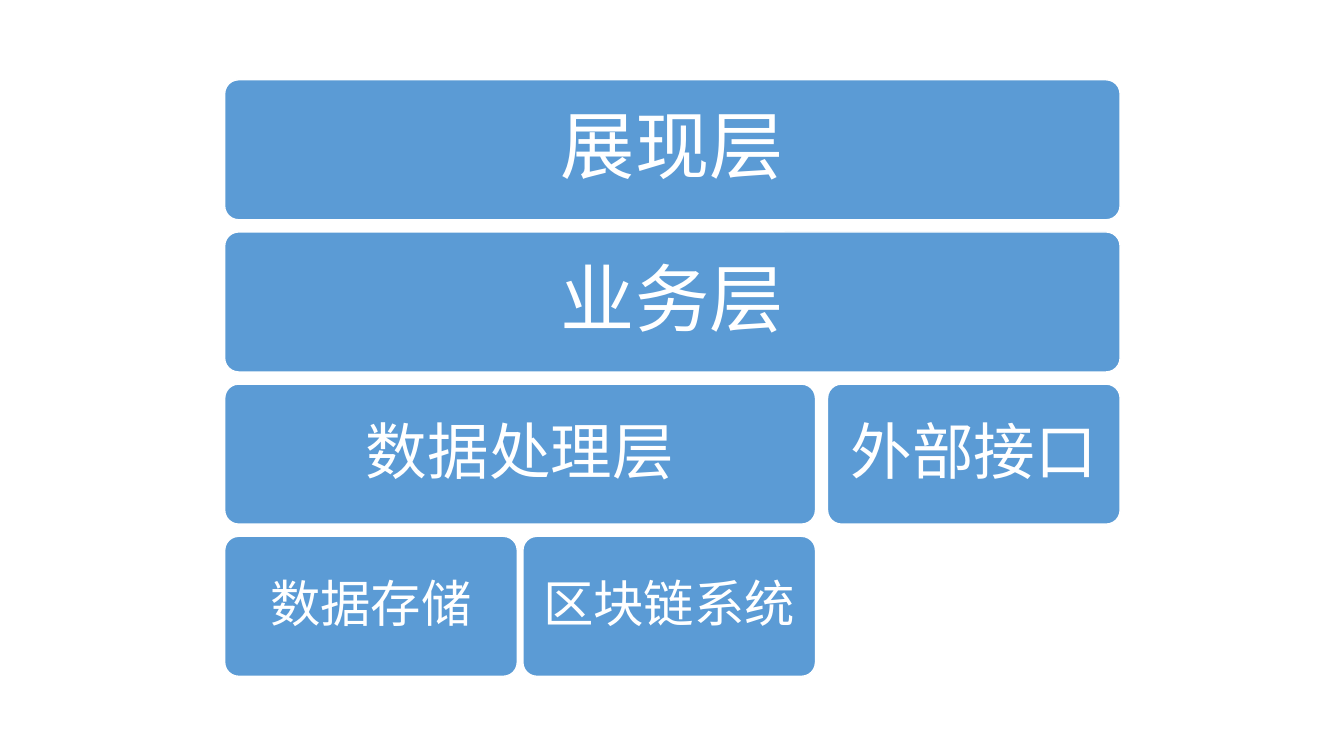
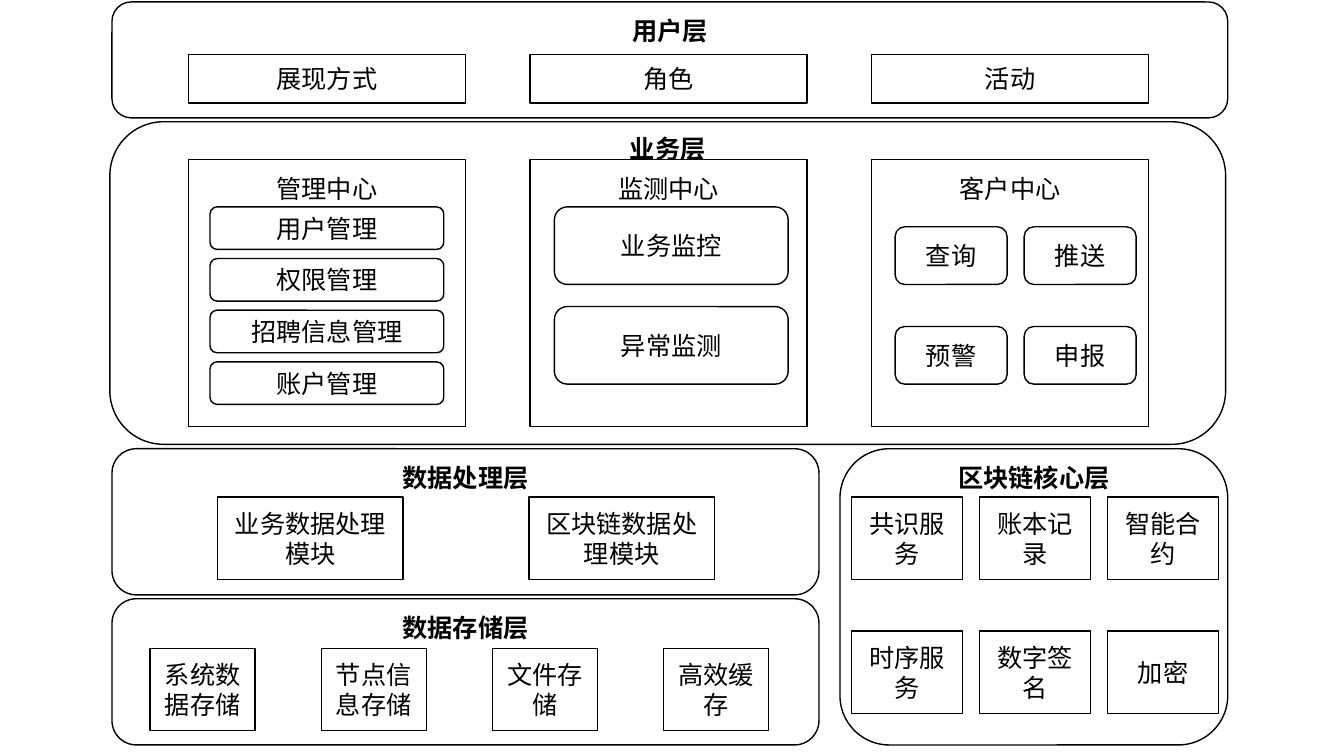
"""Build two slides on a layered blockchain system: an overview and its detailed architecture."""
from pptx import Presentation
from pptx.dml.color import RGBColor
from pptx.enum.shapes import MSO_SHAPE as Shape
from pptx.enum.text import MSO_ANCHOR as Anchor, PP_ALIGN as Align
from pptx.util import Pt

BLUE = RGBColor(0x5B, 0x9B, 0xD5)
WHITE = RGBColor(0xFF, 0xFF, 0xFF)
BLACK = RGBColor(0x00, 0x00, 0x00)
FONT = "Calibri"
CORNER = 0.16667
CORNER_TEXT_INSET = 0.29289
MARGINS = ("margin_left", "margin_top", "margin_right", "margin_bottom")

COLUMN_LEFT, COLUMN_PITCH, COLUMN_WIDTH = 134.5, 244, 198
LEFT_EDGE, FULL_WIDTH, DATA_WIDTH = 80, 797, 505
DATA_TOP, STORAGE_TOP, DATA_HEIGHT = 320.5, 427.7, 104.4


def set_all(target, values):
    """Set each named attribute of the target."""
    for name, value in values.items():
        setattr(target, name, value)


def add_box(slide, kind, label, place, fill=WHITE, ink=BLACK, edge=BLACK,
            font=None, frame=None, paragraph=None):
    """Add a filled, outlined box with a centred label."""
    box = slide.shapes.add_shape(kind, *map(Pt, place))
    box.shadow.inherit = False
    box.fill.solid()
    box.fill.fore_color.rgb = fill
    box.line.color.rgb = edge
    box.line.width = Pt(1)
    text = box.text_frame
    text.text = label
    line = text.paragraphs[0]
    set_all(text, {"word_wrap": True, "vertical_anchor": Anchor.MIDDLE, **(frame or {})})
    set_all(line, {"alignment": Align.CENTER, **(paragraph or {})})
    set_all(line.runs[0].font, {"name": FONT, "size": Pt(18), **(font or {})})
    line.runs[0].font.color.rgb = ink
    return box


def add_tier(slide, label, left, top, width, height, margin=12):
    """Add an overview block whose label size follows its tier."""
    sizes = {12: 36, 13: 44, 16: 53}
    box = add_box(
        slide, Shape.ROUNDED_RECTANGLE, label, (left, top, width, height),
        fill=BLUE, ink=WHITE, edge=WHITE,
        font={"size": Pt(sizes[margin])},
        frame={"word_wrap": False, **dict.fromkeys(MARGINS, Pt(margin))},
        paragraph={"line_spacing": 0.9})
    box.adjustments[0] = 0.1


def add_panel(slide, kind, title, place, offset=9.5, bold=True):
    """Add a panel with its title at a fixed offset below the top edge."""
    rounded = kind == Shape.ROUNDED_RECTANGLE
    inset = min(place[2:]) * CORNER * CORNER_TEXT_INSET if rounded else 0
    add_box(slide, kind, title, place, font={"bold": bold},
            frame={"vertical_anchor": Anchor.TOP, "margin_top": Pt(offset - inset)})


def add_grid(slide, kind, rows, start, pitch, size, add=add_box):
    """Add equal boxes in rows and columns."""
    for row, labels in enumerate(rows):
        for column, label in enumerate(labels):
            corner = (start[0] + column * pitch[0], start[1] + row * pitch[1])
            add(slide, kind, label, corner + size)


def add_center(slide, kind, title, place):
    """Add a business centre panel with a plain title."""
    add_panel(slide, kind, title, place, bold=False)


def build_overview(slide):
    """Draw the four-tier overview."""
    left, top, height, pitch = 160.5, 57, 100, 108.7
    unit, gap, wide_gap = 209, 4, 8.6
    pair = 2 * unit + gap
    full = pair + wide_gap + unit
    second, third = left + unit + gap, left + pair + wide_gap
    blocks = [
        ("展现层", 0, left, full, 16),
        ("业务层", 1, left, full, 16),
        ("数据处理层", 2, left, pair, 13),
        ("外部接口", 2, third, unit, 13),
        ("数据存储", 3, left, unit, 10.8),
        ("区块链系统", 3, second, unit, 10.8),
    ]
    for label, tier, x, width, margin in blocks:
        add_tier(slide, label, x, top + tier * pitch, width, height, max(margin, 12))


def build_architecture(slide):
    """Draw the detailed layers and their modules."""
    rect, rounded = Shape.RECTANGLE, Shape.ROUNDED_RECTANGLE
    columns = (COLUMN_PITCH, 0)

    add_panel(slide, rounded, "用户层", (LEFT_EDGE, 1.4, FULL_WIDTH, 82.8))
    add_grid(slide, rect, [["展现方式", "角色", "活动"]],
             (COLUMN_LEFT, 39), columns, (COLUMN_WIDTH, 34.6))

    add_panel(slide, rounded, "业务层", (78.5, 87, FULL_WIDTH, 230.4), offset=8)
    add_grid(slide, rect, [["管理中心", "监测中心", "客户中心"]],
             (COLUMN_LEFT, 114), columns, (COLUMN_WIDTH, 190.8), add_center)
    add_grid(slide, rounded, [["用户管理"], ["权限管理"], ["招聘信息管理"], ["账户管理"]],
             (150, 147.8), (0, 36.9), (167, 30.4))
    add_grid(slide, rounded, [["业务监控"], ["异常监测"]],
             (396, 147.8), (0, 71.2), (167, 55.4))
    add_grid(slide, rounded, [["查询", "推送"], ["预警", "申报"]],
             (639.4, 162), (92.2, 71.2), (80, 41.2))

    add_panel(slide, rounded, "数据处理层", (LEFT_EDGE, DATA_TOP, DATA_WIDTH, DATA_HEIGHT))
    add_grid(slide, rect, [["业务数据处理模块", "区块链数据处理模块"]],
             (155.5, 355), (222.4, 0), (132.5, 59))

    add_panel(slide, rounded, "数据存储层", (LEFT_EDGE, STORAGE_TOP, DATA_WIDTH, DATA_HEIGHT))
    add_grid(slide, rect, [["系统数据存储", "节点信息存储", "文件存储", "高效缓存"]],
             (107.3, 463), (122.2, 0), (75, 59))

    core_height = STORAGE_TOP + DATA_HEIGHT - DATA_TOP
    add_panel(slide, rounded, "区块链核心层", (600, DATA_TOP, 277, core_height))
    add_grid(slide, rect, [["共识服务", "账本记录", "智能合约"], ["时序服务", "数字签名", "加密"]],
             (608.4, 355), (91.4, 95.7), (79.2, 59))


def main():
    """Create and save the presentation."""
    deck = Presentation()
    set_all(deck, {"slide_width": Pt(960), "slide_height": Pt(540)})
    for build in (build_overview, build_architecture):
        build(deck.slides.add_slide(deck.slide_layouts[6]))
    deck.save("out.pptx")


if __name__ == "__main__":
    main()
